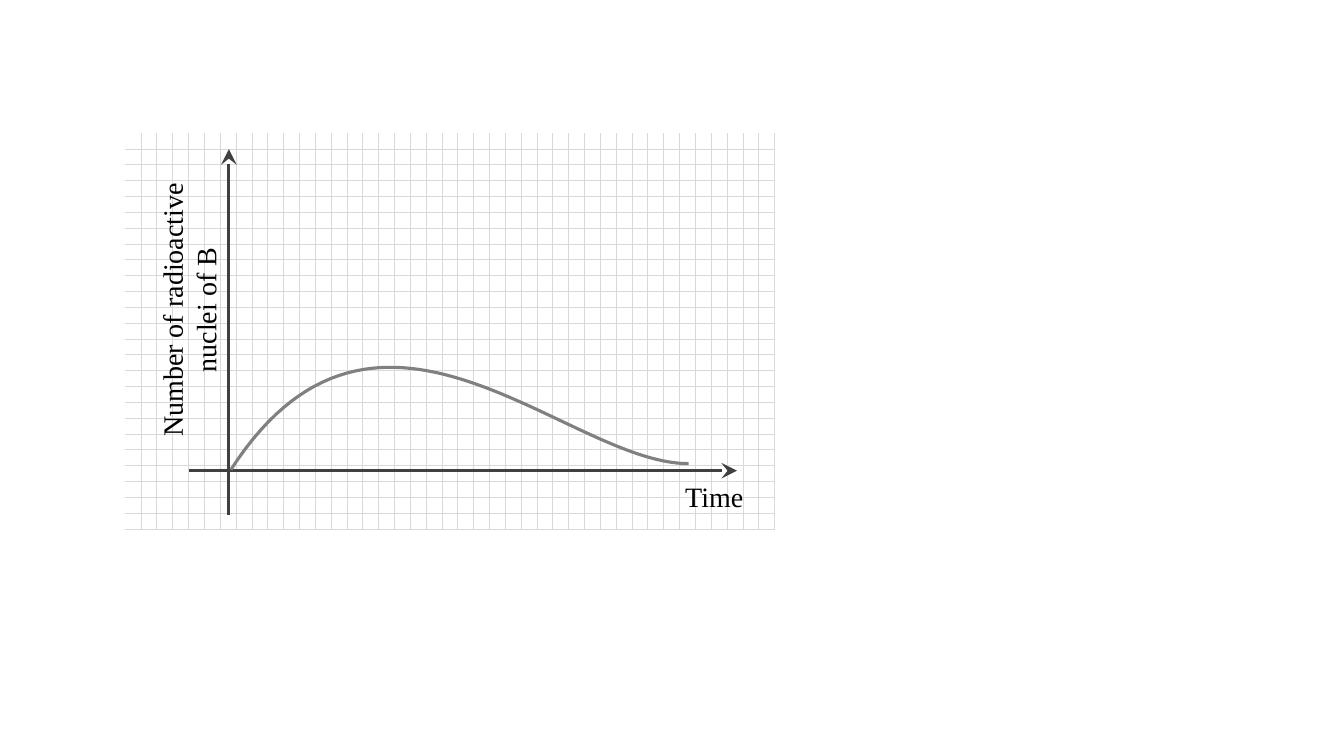
"""Build a slide with a sketch graph of the number of radioactive nuclei of B against time."""
from lxml import etree
from pptx import Presentation
from pptx.dml.color import RGBColor
from pptx.enum.dml import MSO_PATTERN
from pptx.enum.shapes import MSO_CONNECTOR, MSO_SHAPE
from pptx.enum.text import PP_ALIGN
from pptx.oxml.ns import qn
from pptx.util import Inches, Pt

RECTANGLE = MSO_SHAPE.RECTANGLE
STRAIGHT = MSO_CONNECTOR.STRAIGHT
DOTTED_GRID = MSO_PATTERN.DOTTED_GRID
CENTER = PP_ALIGN.CENTER

COLORS = {"grid": "D9D9D9", "paper": "FFFFFF", "axis": "404040",
          "curve": "808080", "text": "000000"}
FONT = "Times New Roman"
BLANK_LAYOUT = 6


def rgb(name):
    return RGBColor.from_string(COLORS[name])


prs = Presentation()
prs.slide_width, prs.slide_height = Inches(13.33), Inches(7.5)
s = prs.slides.add_slide(prs.slide_layouts[BLANK_LAYOUT])

sp = s.shapes.add_shape(RECTANGLE, Inches(1.24), Inches(1.32), Inches(6.45), Inches(3.94))
sp.shadow.inherit = False
sp.fill.patterned()
sp.fill.pattern = DOTTED_GRID
sp.fill.fore_color.rgb = rgb("grid")
sp.fill.back_color.rgb = rgb("paper")
sp.line.fill.background()

axes = [(2.27, 5.11, 2.27, 1.48), (1.87, 4.67, 7.31, 4.67)]
for ends in axes:
    axis = s.shapes.add_connector(STRAIGHT, *map(Inches, ends))
    axis.line.color.rgb = rgb("axis")
    axis.line.width = Pt(2.25)
    etree.SubElement(axis.line._get_or_add_ln(), qn("a:tailEnd"),
                     type="stealth", w="lg", len="lg")
    etree.SubElement(axis._element.spPr, qn("a:effectLst"))

labels = [("Time", 6.63, 4.76, 0.91, 0.34, 0),
          ("Number of radioactive nuclei of B", 0.44, 2.74, 2.86, 0.67, 270)]
for text, left, top, width, height, rotation in labels:
    sp = s.shapes.add_textbox(Inches(left), Inches(top), Inches(width), Inches(height))
    sp.rotation = rotation
    tf = sp.text_frame
    tf.word_wrap = True
    tf.margin_left = tf.margin_top = tf.margin_right = tf.margin_bottom = 0
    p = tf.paragraphs[0]
    p.text = text
    p.alignment = CENTER
    p.font.name = FONT
    p.font.size = Pt(20)
    p.font.color.rgb = rgb("text")

controls = [(2.29, 4.66), (3.74, 2.41), (5.62, 4.6), (6.83, 4.6)]
steps = 60
points = []
for i in range(steps + 1):
    t = i / steps
    weights = [(1 - t) ** 3, 3 * t * (1 - t) ** 2, 3 * t ** 2 * (1 - t), t ** 3]
    points.append([Inches(sum(w * c for w, c in zip(weights, coords)))
                   for coords in zip(*controls)])
builder = s.shapes.build_freeform(*points[0])
builder.add_line_segments(points[1:], close=False)
sp = builder.convert_to_shape()
sp.shadow.inherit = False
sp.fill.background()
sp.line.color.rgb = rgb("curve")
sp.line.width = Pt(2.25)

prs.save("out.pptx")
